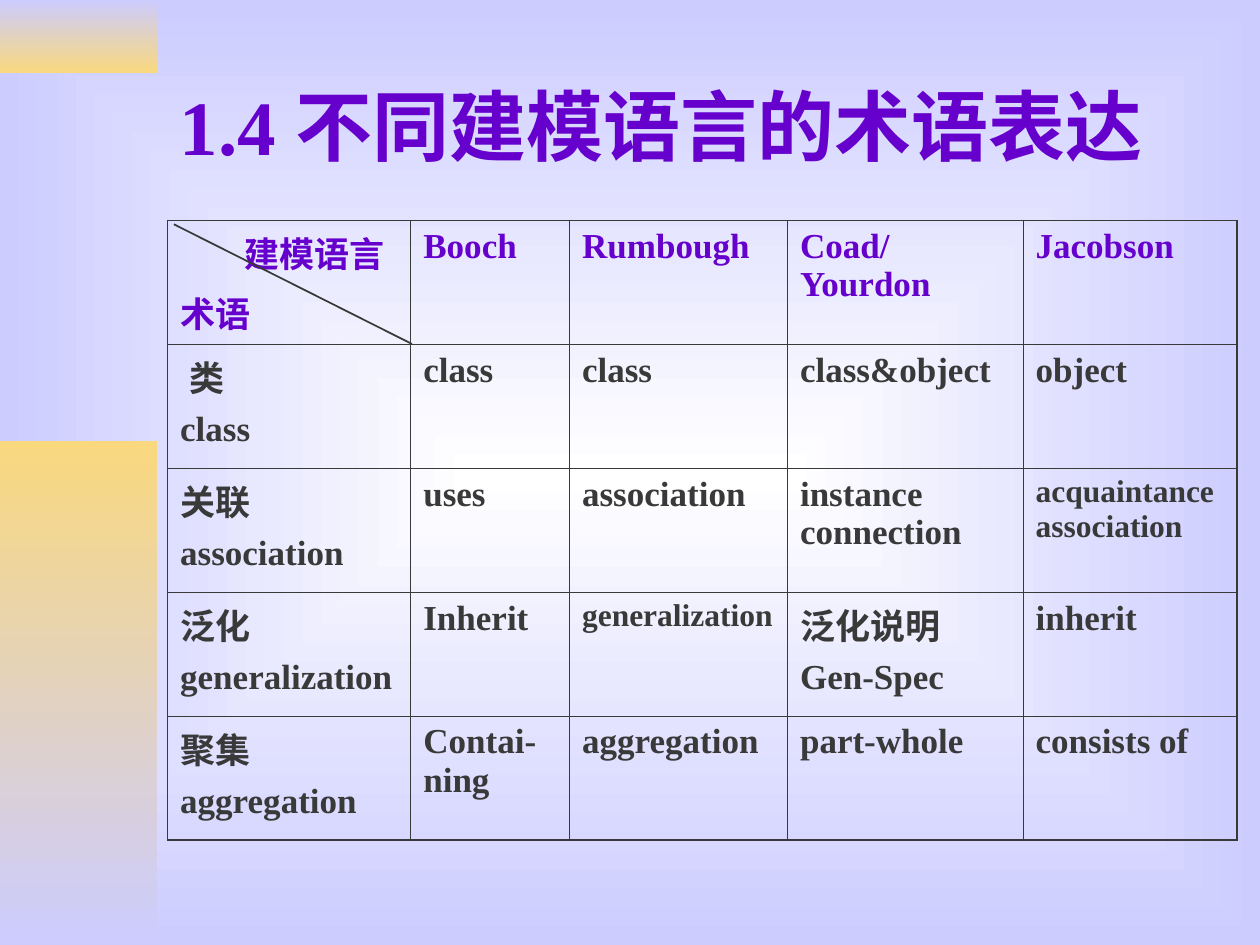
from lxml.etree import SubElement
from pptx import Presentation
from pptx.dml.color import RGBColor
from pptx.enum.shapes import MSO_CONNECTOR as Connector, MSO_SHAPE as Shape
from pptx.enum.text import MSO_ANCHOR as Anchor
from pptx.oxml import parse_xml
from pptx.oxml.ns import nsdecls, qn
from pptx.util import Inches, Pt

COLORS = {"violet": "6600CC", "ink": "393939", "lavender": "CCCCFF", "gold": "F9D87E", "white": "FFFFFF"}
FONT = "Times New Roman"


def set_gradient(fill, start, end):
    fill.gradient()
    for stop, name in zip(fill.gradient_stops, (start, end)):
        stop.color.rgb = RGBColor.from_string(COLORS[name])


def style_text(para, size, color):
    for span in para.runs:
        span.font.name = FONT
        span.font.size = Pt(size)
        span.font.bold = True
        span.font.color.rgb = RGBColor.from_string(COLORS[color])


deck = Presentation()
deck.slide_width, deck.slide_height = Inches(10), Inches(7.5)
page = deck.slides.add_slide(deck.slide_layouts[6])

set_gradient(page.background.fill, "white", "lavender")
linear = next(page.element.iter(qn("a:lin")))
linear.getparent().replace(linear, parse_xml(
    f'<a:path {nsdecls("a")} path="rect">'
    '<a:fillToRect l="50000" t="50000" r="50000" b="50000"/></a:path>'))

for top, height, start, end in [(0, 0.58, "lavender", "gold"), (3.5, 4, "gold", "lavender")]:
    band = page.shapes.add_shape(Shape.RECTANGLE, 0, Inches(top), Inches(1.25), Inches(height))
    band.shadow.inherit = False
    band.line.fill.background()
    set_gradient(band.fill, start, end)
    band.fill.gradient_angle = 270

title = page.shapes.add_textbox(Inches(1.33), Inches(0.33), Inches(8.5), Inches(1.32))
title.text_frame.word_wrap = True
title.text_frame.vertical_anchor = Anchor.MIDDLE
title.text_frame.text = "1.4 不同建模语言的术语表达"
style_text(title.text_frame.paragraphs[0], 44, "violet")

rows = [
    ["建模语言\n术语", "Booch", "Rumbough", "Coad/Yourdon", "Jacobson"],
    ["类\nclass", "class", "class", "class&object", "object"],
    ["关联\nassociation", "uses", "association", "instance connection", "acquaintance association"],
    ["泛化\ngeneralization", "Inherit", "generalization", "泛化说明\nGen-Spec", "inherit"],
    ["聚集\naggregation", "Contai-ning", "aggregation", "part-whole", "consists of"],
]
widths = [1.93, 1.26, 1.73, 1.87, 1.7]
small_cells = {(2, 4), (3, 2)}
indents = {"建模语言": 0.51, "类": 0.07}
last_row, last_column = len(rows) - 1, len(widths) - 1

frame = page.shapes.add_table(len(rows), len(widths), Inches(1.33), Inches(1.75), Inches(8.5), Inches(4.92))
table = frame.table
table.first_row = table.horz_banding = False
for column, width in zip(table.columns, widths):
    column.width = Inches(width)

for r, texts in enumerate(rows):
    for c, text in enumerate(texts):
        cell = table.cell(r, c)
        cell.text_frame.text = text
        for index, para in enumerate(cell.text_frame.paragraphs):
            if index:
                para.space_before = Pt(5)
            if para.text in indents:
                para._p.get_or_add_pPr().set("marL", str(Inches(indents[para.text])))
            style_text(para, 18 if (r, c) in small_cells else 20, "ink" if r else "violet")
        properties = cell._tc.get_or_add_tcPr()
        outer_edges = {"L": c == 0, "R": c == last_column, "T": r == 0, "B": r == last_row}
        for side, outer in outer_edges.items():
            border = SubElement(properties, qn(f"a:ln{side}"), w=str(Pt(1.08 if outer else 0.45)))
            SubElement(SubElement(border, qn("a:solidFill")), qn("a:srgbClr"), val=COLORS["ink"])
        cell.fill.background()

diagonal = page.shapes.add_connector(
    Connector.STRAIGHT, Inches(1.38), Inches(1.78), Inches(3.27), Inches(2.73))
diagonal.line.color.rgb = RGBColor.from_string(COLORS["ink"])
diagonal.line.width = Pt(1)
SubElement(diagonal._element.spPr, qn("a:effectLst"))

deck.save("out.pptx")
